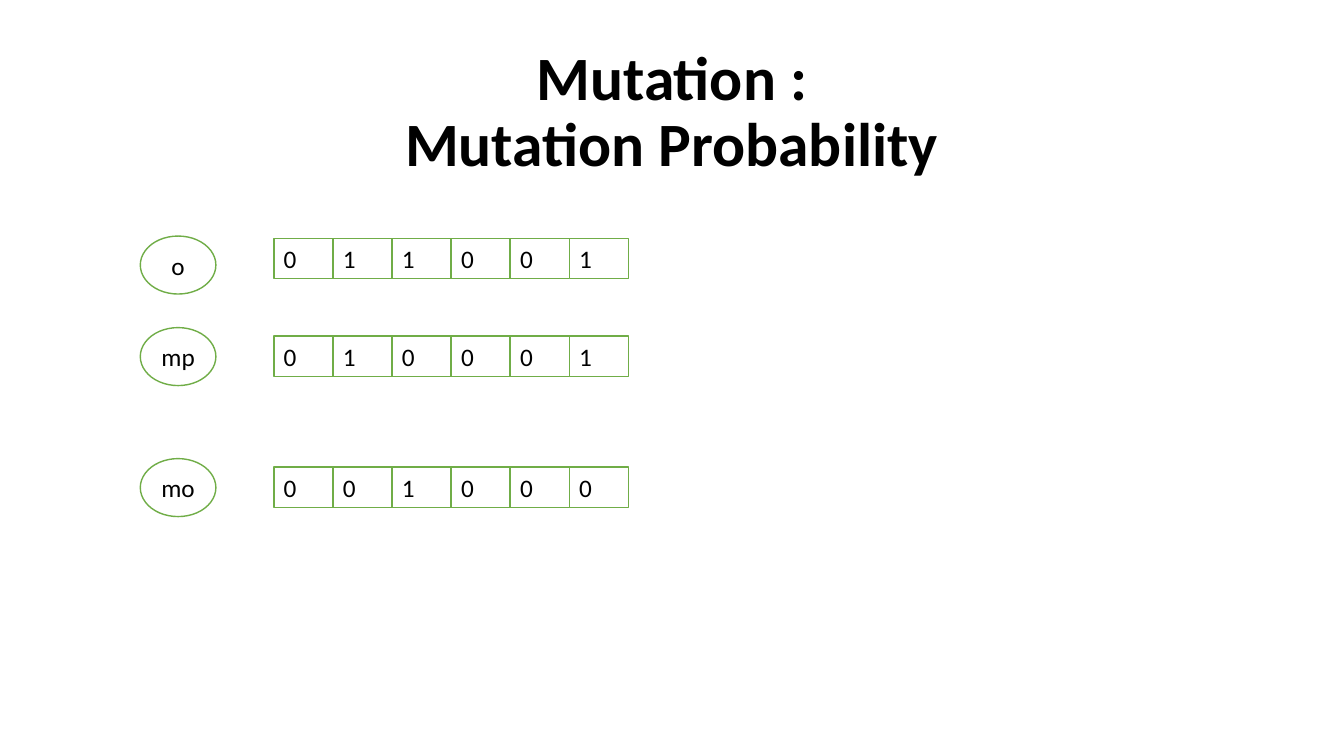
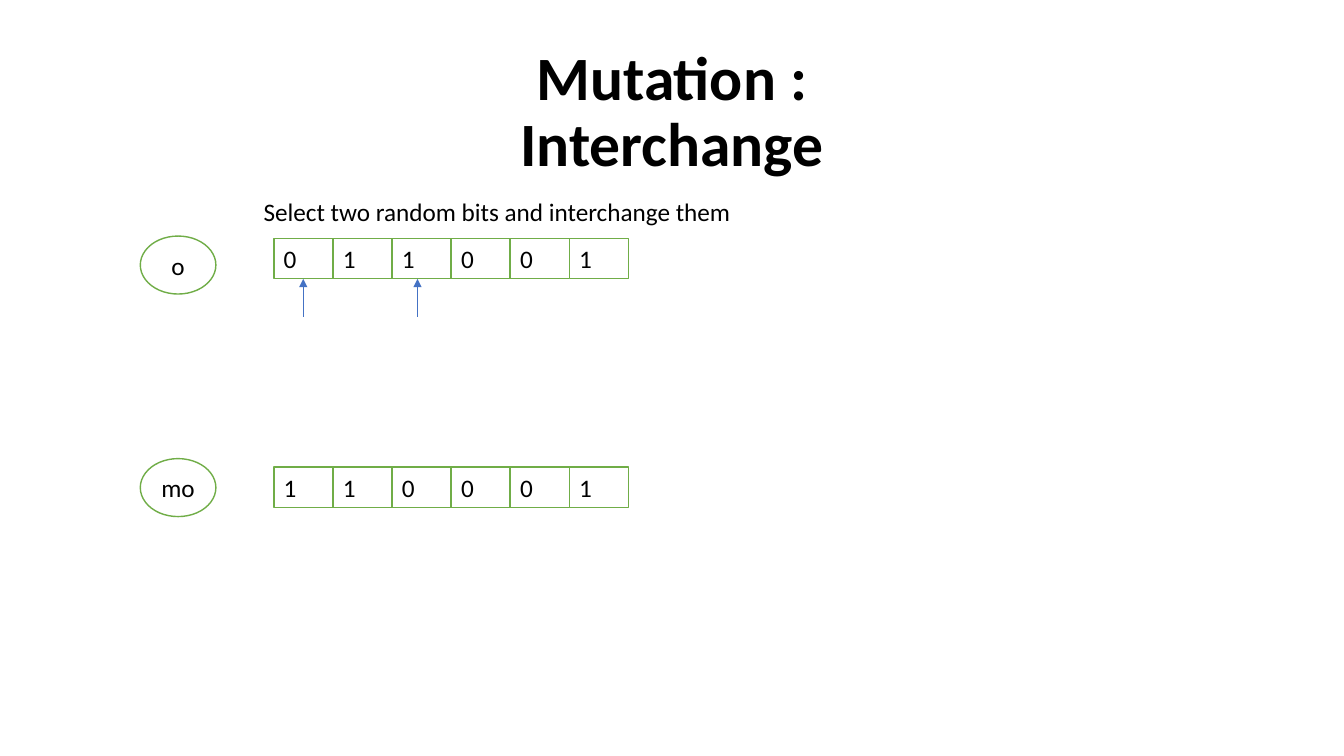
from pptx import Presentation
from pptx.dml.color import RGBColor
from pptx.enum.shapes import MSO_CONNECTOR, MSO_SHAPE
from pptx.enum.text import MSO_ANCHOR, MSO_AUTO_SIZE, PP_ALIGN
from pptx.oxml.ns import qn
from pptx.util import Pt
from lxml import etree

OVAL, RECT = MSO_SHAPE.FLOWCHART_CONNECTOR, MSO_SHAPE.RECTANGLE
LINE = MSO_CONNECTOR.STRAIGHT
TOP, MID = MSO_ANCHOR.TOP, MSO_ANCHOR.MIDDLE
LEFT, MAIN = PP_ALIGN.LEFT, PP_ALIGN.CENTER
GROW = MSO_AUTO_SIZE.SHAPE_TO_FIT_TEXT
FIXED = MSO_AUTO_SIZE.NONE

# Content: rows are label, bits, oval top, cell top
SLIDES = [
    {"title": ["Mutation :", "Mutation Probability"],
     "rows": [("o", "011001", 281, 284),
              ("mp", "010001", 390, 400),
              ("mo", "001000", 546, 556)]},
    {"title": ["Mutation :", "Interchange"],
     "rows": [("o", "011001", 281, 284),
              ("mo", "110001", 546, 556)],
     "note": "Select two random bits and interchange them",
     "picks": [361, 497]},
]

# Theme and grid, 120 px to the inch
PX = 7620
THEME = {"font": "Calibri", "ink": "000000", "fill": "FFFFFF",
         "edge": "70AD47", "arrow": "4472C4",
         "head": 44, "body": 18, "rim": 1, "thin": 0.5}
SIZE = (1600, 900)
TITLE = (110, 48, 1380, 174)
NOTE = (302, 228, 679, 48)
OVAL_X, OVAL_W, OVAL_H = 167, 90, 69
ROW_X, ROW_W, CELL_H = 326, 422, 48
PICK = (377, 332)


def px(*nums):
    return [round(n * PX) for n in nums]


def hue(key):
    return RGBColor.from_string(THEME[key])


def write(shape, text, size="body", bold=False, align=LEFT, space=1.0, **frame):
    box = shape.text_frame
    para = box.paragraphs[0]
    para.text = text
    para.font.color.rgb = hue("ink")
    formats = [
        (box, {"word_wrap": True, "vertical_anchor": TOP,
               "auto_size": FIXED, **frame}),
        (para, {"alignment": align, "line_spacing": space}),
        (para.font, {"name": THEME["font"], "size": Pt(THEME[size]),
                     "bold": bold}),
    ]
    for target, values in formats:
        for key, value in values.items():
            setattr(target, key, value)


def label(slide, area, text, **style):
    write(slide.shapes.add_textbox(*px(*area)), text, **style)


def node(slide, kind, area, text, **style):
    shape = slide.shapes.add_shape(kind, *px(*area))
    shape.shadow.inherit = False
    shape.fill.solid()
    shape.fill.fore_color.rgb = hue("fill")
    shape.line.color.rgb = hue("edge")
    shape.line.width = Pt(THEME["rim"])
    write(shape, text, **style)


def arrow(slide, x):
    start, end = PICK
    link = slide.shapes.add_connector(LINE, *px(x, start, x, end))
    link.line.color.rgb = hue("arrow")
    link.line.width = Pt(THEME["thin"])
    tip = etree.SubElement(link.line._get_or_add_ln(), qn("a:tailEnd"))
    tip.set("type", "triangle")
    etree.SubElement(link._element.spPr, qn("a:effectLst"))


def row(slide, name, bits, oval_y, cell_y):
    node(slide, OVAL, (OVAL_X, oval_y, OVAL_W, OVAL_H), name,
         align=MAIN, vertical_anchor=MID, word_wrap=False)
    wide = ROW_W / len(bits)
    for i, bit in enumerate(bits):
        node(slide, RECT, (ROW_X + i * wide, cell_y, wide, CELL_H), bit,
             auto_size=GROW)


def main():
    deck = Presentation()
    deck.slide_width, deck.slide_height = px(*SIZE)
    for data in SLIDES:
        slide = deck.slides.add_slide(deck.slide_layouts[6])
        label(slide, TITLE, "\v".join(data["title"]), size="head", bold=True,
              align=MAIN, space=0.9, vertical_anchor=MID)
        for item in data["rows"]:
            row(slide, *item)
        for x in data.get("picks", []):
            arrow(slide, x)
        if "note" in data:
            label(slide, NOTE, data["note"], auto_size=GROW)
    deck.save("out.pptx")


if __name__ == "__main__":
    main()
